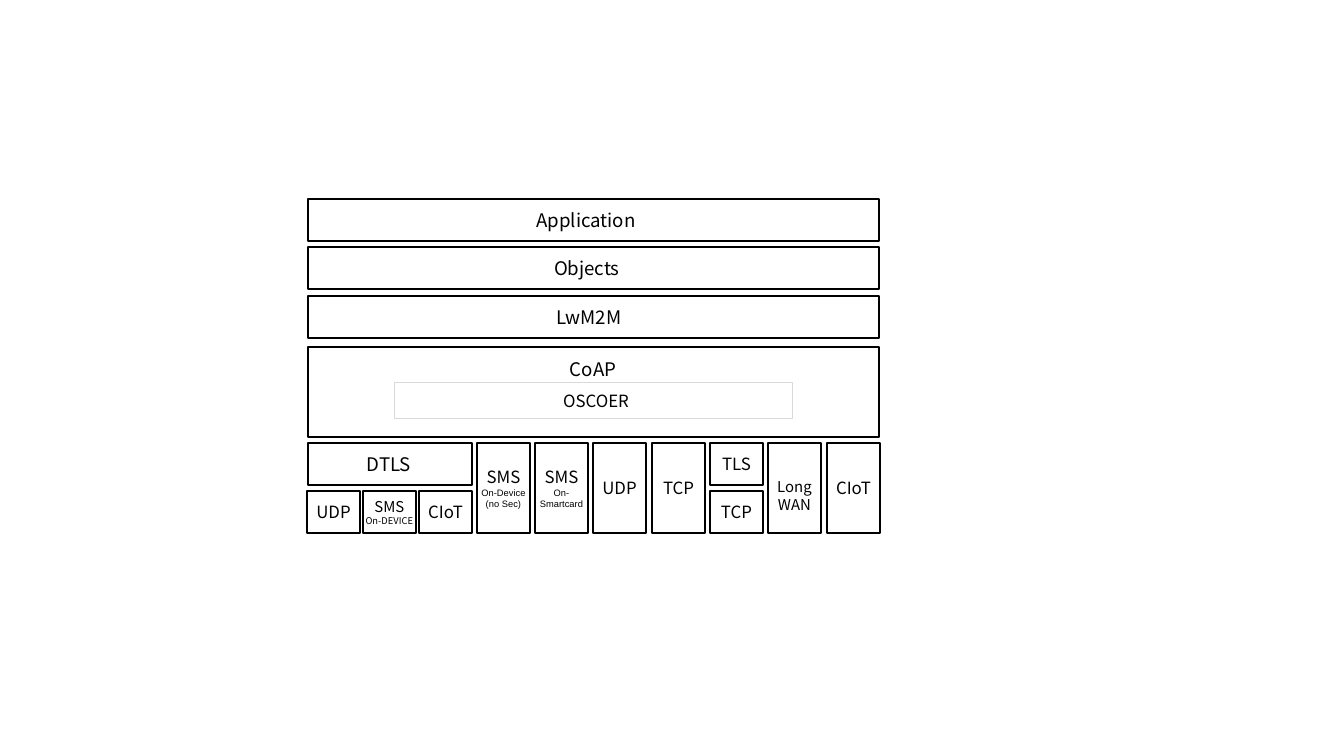
"""Build a slide showing the LwM2M protocol stack and its transport bindings."""
import pptx
import pptx.dml.color
import pptx.enum.shapes
import pptx.enum.text
import pptx.util

PX = 914400 / 134.4
BLACK = pptx.dml.color.RGBColor(0, 0, 0)
GREY = pptx.dml.color.RGBColor(0xD9, 0xD9, 0xD9)
NOTO = "Noto Sans CJK SC"
ARIAL = "Arial"


def emu(*sizes):
    return [pptx.util.Emu(round(size * PX)) for size in sizes]


def block(area, mid, top, wide, high, lines, tint=BLACK, line=0.75):
    rect = stack.shapes.add_shape(pptx.enum.shapes.MSO_SHAPE.RECTANGLE, *emu(*area))
    rect.shadow.inherit = False
    rect.fill.background()
    rect.line.color.rgb = tint
    rect.line.width = pptx.util.Pt(line)
    label = stack.shapes.add_textbox(*emu(mid - wide / 2, top, wide, high))
    frame = label.text_frame
    frame.word_wrap = True
    frame.vertical_anchor = pptx.enum.text.MSO_ANCHOR.TOP
    for i, (text, size, face) in enumerate(lines):
        para = frame.paragraphs[0] if i == 0 else frame.add_paragraph()
        para.alignment = pptx.enum.text.PP_ALIGN.CENTER
        run = para.add_run()
        run.text = text
        run.font.size = pptx.util.Pt(size)
        run.font.name = face
        run.font.color.rgb = BLACK


deck = pptx.Presentation()
deck.slide_width, deck.slide_height = emu(1344, 756)
slide = deck.slides.add_slide(deck.slide_layouts[6])
stack = slide.shapes.add_group_shape()

LEFT, FULL = 308, 571
LOW, CELL, SHORT, TALL = 443, 53, 42, 90
BASE = LOW + TALL - SHORT

layers = [("Application", 199, 586), ("Objects", 247, 587), ("LwM2M", 296, 589)]
for name, top, mid in layers:
    block((LEFT, top, FULL, SHORT), mid, top + 3, 154, 36, [(name, 10, NOTO)])
block((LEFT, 347, FULL, TALL), 593, 351, 171, 81, [("CoAP", 10, NOTO)])
block((394, 382, 398, 36), 596, 384, 108, 22, [("OSCOER", 9, NOTO)], GREY, 0.25)

block((LEFT, LOW, 164, SHORT), 389, LOW + 3, 95, 36, [("DTLS", 10, NOTO)])
secure = [
    (4, 66, 34, [("UDP", 9, NOTO)]),
    (0, 85, 43, [("SMS", 8, NOTO), ("On-DEVICE", 5, NOTO)]),
    (4, 66, 34, [("CIoT", 9, NOTO)]),
]
for i, (drop, wide, high, lines) in enumerate(secure):
    left = 307 + 56 * i
    block((left, BASE, CELL, SHORT), left + CELL / 2, BASE + drop, wide, high, lines)

cols = [477 + 350 * i // 6 for i in range(7)]
plain = [
    (0, 17, 81, 56, [("SMS", 9, NOTO), ("On-Device", 5, ARIAL), ("(no Sec)", 5, ARIAL)]),
    (1, 17, 81, 56, [("SMS", 9, NOTO), ("On-", 5, ARIAL), ("Smartcard", 5, ARIAL)]),
    (2, 28, 66, 34, [("UDP", 9, NOTO)]),
    (3, 28, 66, 34, [("TCP", 9, NOTO)]),
    (5, 28, 66, 50, [("Long", 8, NOTO), ("WAN", 8, NOTO)]),
    (6, 28, 66, 34, [("CIoT", 9, NOTO)]),
]
for col, drop, wide, high, lines in plain:
    left = cols[col]
    block((left, LOW, CELL, TALL), left + CELL / 2, LOW + drop, wide, high, lines)

for name, top in (("TLS", LOW), ("TCP", BASE)):
    block((cols[4], top, CELL, SHORT), cols[4] + CELL / 2, top + 4, 66, 34, [(name, 9, NOTO)])

deck.save("out.pptx")
